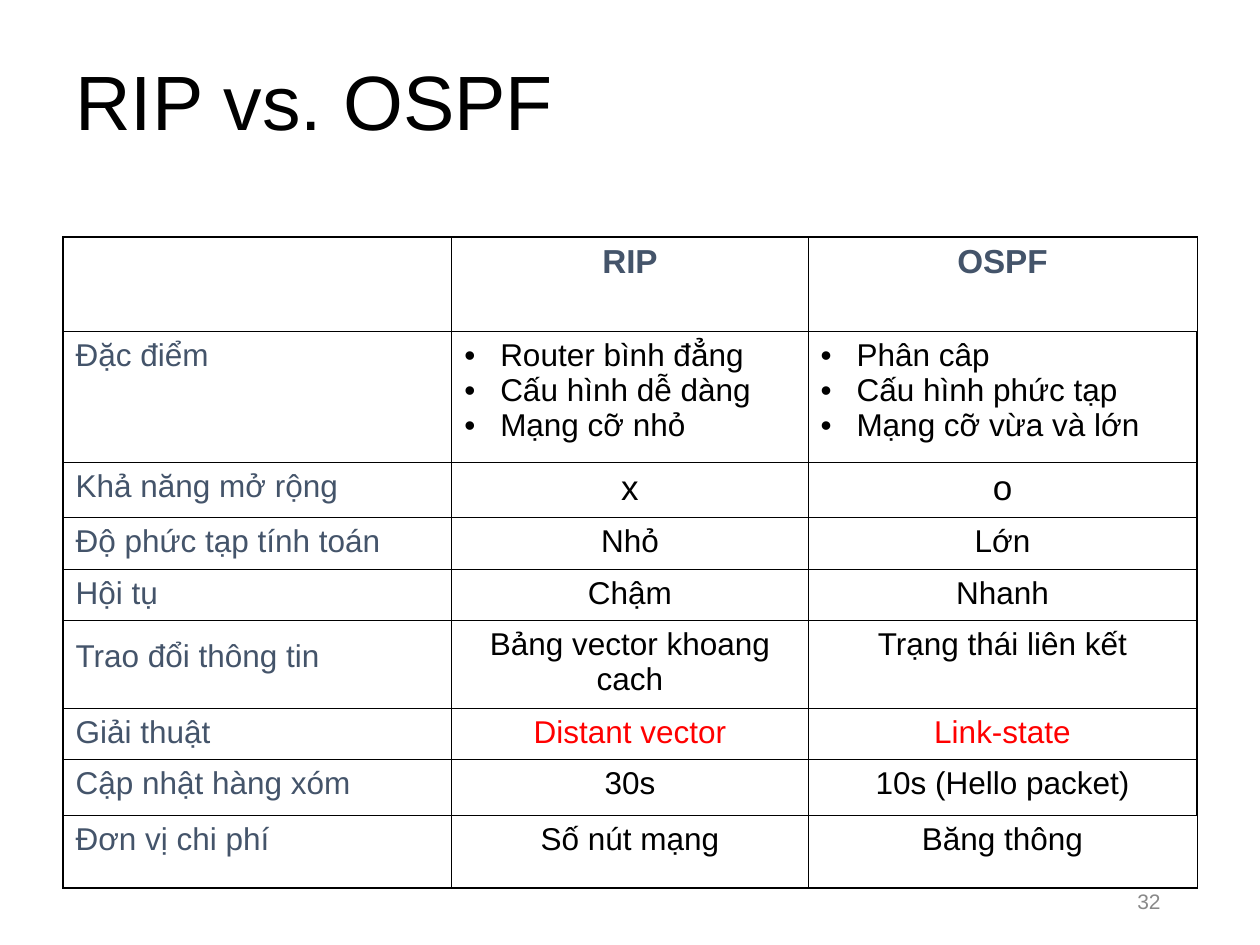
from dataclasses import dataclass

from lxml import etree
from pptx import Presentation
from pptx.dml.color import RGBColor
from pptx.enum.text import MSO_ANCHOR, PP_ALIGN
from pptx.oxml.ns import qn
from pptx.util import Pt

LEFT, CENTER, RIGHT = PP_ALIGN.LEFT, PP_ALIGN.CENTER, PP_ALIGN.RIGHT
MIDDLE = MSO_ANCHOR.MIDDLE


@dataclass(frozen=True)
class Theme:
    font: str = "Arial"
    black: str = "000000"
    slate: str = "44546A"
    red: str = "FF0000"
    gray: str = "898989"
    title: float = 44
    header: float = 19
    mark: float = 20
    body: float = 18
    number: float = 12
    thin: float = 0.45
    thick: float = 1.08


THEME = Theme()


def write_text(frame, text, size=THEME.body, color=THEME.black, bold=False,
               align=LEFT, spacing=None, bullet_indent=None):
    for index, line in enumerate(text.split("\n")):
        paragraph = frame.add_paragraph() if index else frame.paragraphs[0]
        paragraph.alignment = align
        if spacing:
            paragraph.line_spacing = spacing
        if bullet_indent:
            properties = paragraph._p.get_or_add_pPr()
            properties.set("marL", str(Pt(bullet_indent)))
            properties.set("indent", str(-Pt(bullet_indent)))
            etree.SubElement(properties, qn("a:buFont"), typeface=THEME.font)
            etree.SubElement(properties, qn("a:buChar"), char="•")
        run = paragraph.add_run()
        run.text = line
        run.font.name = THEME.font
        run.font.size = Pt(size)
        run.font.bold = bold
        run.font.color.rgb = RGBColor.from_string(color)


def set_borders(cell, widths):
    properties = cell._tc.get_or_add_tcPr()
    for index, (side, width) in enumerate(zip("LRTB", widths)):
        line = etree.Element(qn(f"a:ln{side}"), w=str(Pt(width)))
        fill = etree.SubElement(line, qn("a:solidFill"))
        etree.SubElement(fill, qn("a:srgbClr"), val=THEME.black)
        properties.insert(index, line)


presentation = Presentation()
presentation.slide_width, presentation.slide_height = Pt(720), Pt(540)
slide = presentation.slides.add_slide(presentation.slide_layouts[6])

# Title and slide number
for text, box, style in [
    ("RIP vs. OSPF", (36, 9.4, 594, 102), dict(size=THEME.title, spacing=0.9)),
    ("32", (508.3, 500.4, 162, 28.8),
     dict(size=THEME.number, color=THEME.gray, align=RIGHT)),
]:
    frame = slide.shapes.add_textbox(*map(Pt, box)).text_frame
    frame.word_wrap = True
    frame.vertical_anchor = MIDDLE
    write_text(frame, text, **style)

# Comparison: row height, then one text per column
rows = [
    (54, "", "RIP", "OSPF"),
    (75, "Đặc điểm", "Router bình đẳng\nCấu hình dễ dàng\nMạng cỡ nhỏ",
     "Phân câp\nCấu hình phức tạp\nMạng cỡ vừa và lớn"),
    (31, "Khả năng mở rộng", "x", "o"),
    (30, "Độ phức tạp tính toán", "Nhỏ", "Lớn"),
    (28.5, "Hội tụ", "Chậm", "Nhanh"),
    (50.5, "Trao đổi thông tin", "Bảng vector khoang cach", "Trạng thái liên kết"),
    (29, "Giải thuật", "Distant vector", "Link-state"),
    (32, "Cập nhật hàng xóm", "30s", "10s (Hello packet)"),
    (41.5, "Đơn vị chi phí", "Số nút mạng", "Băng thông"),
]
column_widths = [222.2, 203.6, 222.2]
HEADER, FEATURES, SCALING, EXCHANGE, ALGORITHM = 0, 1, 2, 5, 6
last_row, last_column = len(rows) - 1, len(column_widths) - 1

table = slide.shapes.add_table(
    len(rows), len(column_widths), Pt(36), Pt(135.4),
    Pt(sum(column_widths)), Pt(sum(row[0] for row in rows))).table
table.first_row = table.horz_banding = False
for column, width in zip(table.columns, column_widths):
    column.width = Pt(width)

for row_index, (height, *texts) in enumerate(rows):
    table.rows[row_index].height = Pt(height)
    for column_index, text in enumerate(texts):
        cell = table.cell(row_index, column_index)
        cell.fill.background()

        # Thick outer frame, thin inner grid
        outer = (column_index == 0,
                 column_index == last_column and HEADER < row_index < last_row,
                 row_index == HEADER,
                 row_index == last_row)
        set_borders(cell, [THEME.thick if edge else THEME.thin for edge in outer])

        # Text format follows the row and the column
        if not text:
            continue
        style = dict(align=CENTER)
        if row_index == HEADER:
            style.update(size=THEME.header, color=THEME.slate, bold=True)
        elif column_index == 0:
            style.update(align=LEFT, color=THEME.slate)
            if row_index == EXCHANGE:
                cell.margin_top = Pt(10.8)
        elif row_index == FEATURES:
            style.update(align=LEFT, bullet_indent=20.5)
        elif row_index == SCALING:
            style.update(size=THEME.mark)
        elif row_index == ALGORITHM:
            style.update(color=THEME.red)
        write_text(cell.text_frame, text, **style)

presentation.save("out.pptx")
